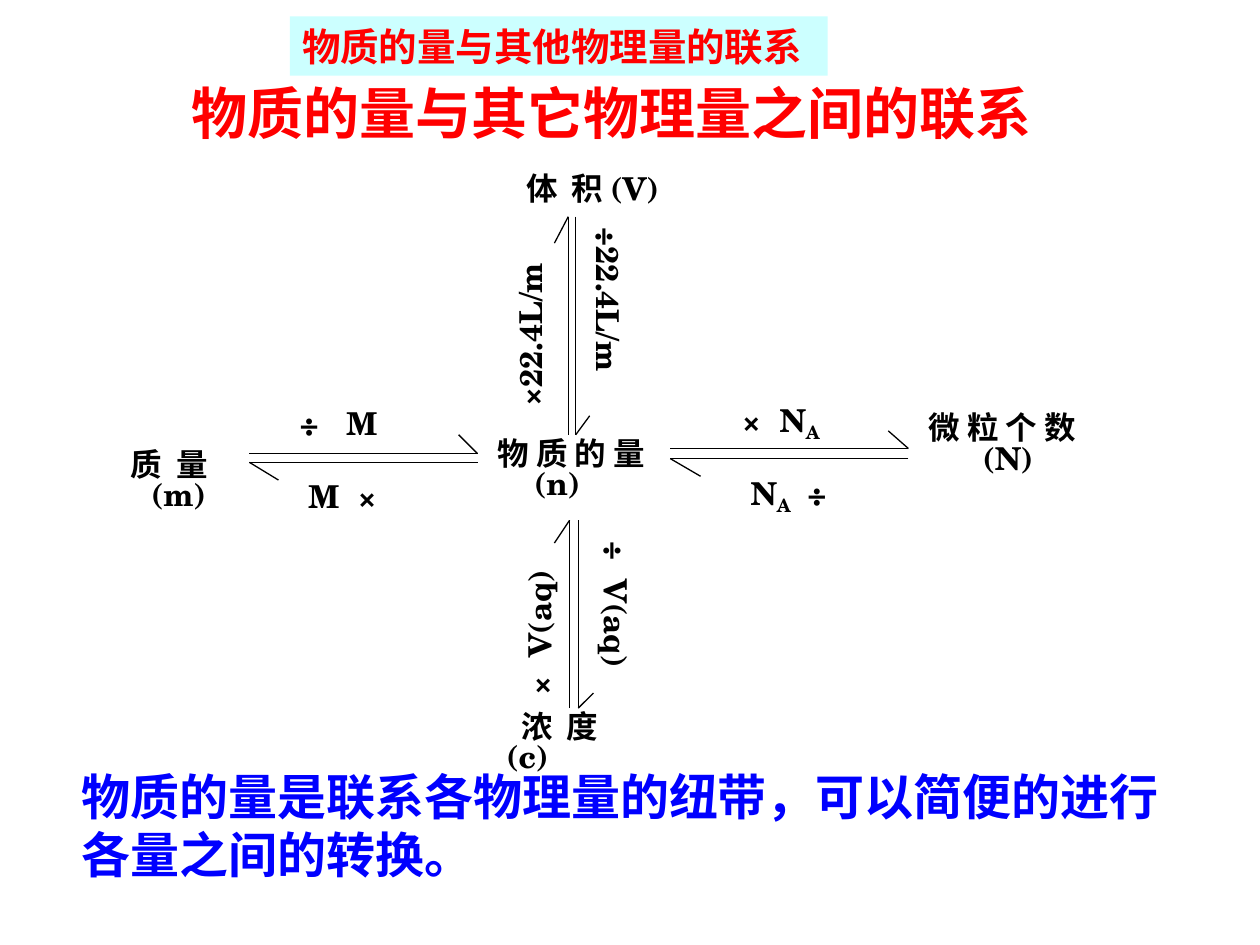
from lxml import etree
from pptx import Presentation
from pptx.dml.color import RGBColor
from pptx.enum.shapes import MSO_CONNECTOR, MSO_SHAPE
from pptx.enum.text import MSO_ANCHOR, MSO_AUTO_SIZE, PP_ALIGN
from pptx.oxml.ns import qn
from pptx.util import Inches, Pt

RED = RGBColor(0xFF, 0x00, 0x00)
BLUE = RGBColor(0x00, 0x00, 0xFF)
BLACK = RGBColor(0x00, 0x00, 0x00)
PALE_CYAN = RGBColor(0xCC, 0xFF, 0xFF)
SCHOLA, TIMES, SANS = "TeX Gyre Schola", "Times New Roman", "Noto Sans CJK SC"
STRAIGHT = MSO_CONNECTOR.STRAIGHT
RECTANGLE = MSO_SHAPE.RECTANGLE
TOP = MSO_ANCHOR.TOP
NO_AUTOFIT = MSO_AUTO_SIZE.NONE
LEFT, CENTER = PP_ALIGN.LEFT, PP_ALIGN.CENTER

HEADER = "物质的量与其他物理量的联系"
TITLE = [("物质的量", SCHOLA), ("与其它物理量之间的联系", TIMES)]
CLOSING = ["物质的量是联系各物理量的纽带，可以简便的进行", "各量之间的转换。"]

# Quantities: place, then lines of (text, tab stops, line spacing)
QUANTITIES = [
    ((3.85, 3.45, 1.97, 0.58), [("物 质 的 量", [], 0.8), ("\t(n)", [0.29], 0.8)]),
    ((0.88, 3.48, 1.41, 0.64), [("\t质\t量", [0.06, 0.42], 1), ("\t(m)", [0.22], 0.8)]),
    ((7.27, 3.25, 1.97, 0.58), [("微 粒 个 数", [], 0.8), ("\t(N)", [0.43], 0.8)]),
    ((4.02, 1.29, 1.93, 0.4), [("\t体\t积 (V)", [0.06, 0.42], 1)]),
    ((3.92, 5.62, 1.34, 0.58), [("\t浓\t度", [0.12, 0.48], 0.8), ("(c)", [], 0.8)]),
]

# Conversions: two arrows as (tail, tip, end of half barb), and two operations
# as (place, rotation, spans, tab stops); a span starting with "_" is a subscript
CONVERSIONS = [
    ([((1.98, 3.6), (3.79, 3.6), (3.64, 3.45)),
      ((3.79, 3.67), (1.98, 3.67), (2.21, 3.81))],
     [((2.21, 3.74, 1.36, 0.4), 0, ["\tM\t×"], [0.14, 0.53]),
      ((2.28, 3.16, 1.36, 0.4), 0, ["÷\tM"], [0.37])]),
    ([((5.32, 3.56), (7.21, 3.56), (7.05, 3.42)),
      ((7.21, 3.64), (5.32, 3.64), (5.56, 3.78))],
     [((5.79, 3.13, 1.1, 0.44), 0, ["×\tN", "_A"], [0.3]),
      ((5.79, 3.71, 1.1, 0.44), 0, ["\tN", "_A", "\t÷"], [0.07, 0.52])]),
    ([((4.57, 1.72), (4.57, 3.45), (4.68, 3.3)),
      ((4.51, 3.45), (4.51, 1.72), (4.4, 1.93))],
     [((4.06, 2.28, 1.54, 0.4), 90, ["÷22.4L/m"], []),
      ((3.44, 2.36, 1.53, 0.4), 270, ["×22.4L/m"], [])]),
    ([((4.59, 4.13), (4.59, 5.62), (4.71, 5.5)),
      ((4.52, 5.62), (4.52, 4.13), (4.4, 4.31))],
     [((4.23, 4.67, 1.34, 0.4), 90, ["÷\tV(aq)"], [0.3]),
      ((3.65, 4.79, 1.26, 0.4), 270, ["×\tV(aq)"], [0.3])]),
]


def inches(values):
    return [Inches(value) for value in values]


def place(box, area):
    box.left, box.top, box.width, box.height = inches(area)


def prepare_frame(box):
    frame = box.text_frame
    frame.word_wrap = True
    frame.auto_size = NO_AUTOFIT
    frame.vertical_anchor = TOP
    return frame


def add_paragraph(frame, index, spacing=1, align=LEFT):
    para = frame.paragraphs[0] if index == 0 else frame.add_paragraph()
    para.alignment = align
    para.line_spacing = spacing
    para.space_before = Pt(0)
    return para


def add_span(para, text, size=18, font=SCHOLA, color=BLACK):
    span = para.add_run()
    span.text = text
    span.font.size = Pt(size)
    span.font.name = font
    span.font.bold = True
    span.font.color.rgb = color
    return span


def add_tab_stops(para, stops):
    if stops:
        tabs = etree.SubElement(para._p.get_or_add_pPr(), qn("a:tabLst"))
        for stop in stops:
            etree.SubElement(tabs, qn("a:tab"), pos=str(Inches(stop)), algn="l")


def add_line(shapes, start, end):
    line = shapes.add_connector(STRAIGHT, *inches(start + end))
    line.line.color.rgb = BLACK
    line.line.width = Pt(0.75)
    etree.SubElement(line._element.spPr, qn("a:effectLst"))


def add_operation(shapes, area, rotation, spans, stops):
    box = shapes.add_textbox(*inches(area))
    box.rotation = rotation
    para = add_paragraph(prepare_frame(box), 0)
    add_tab_stops(para, stops)
    for text in spans:
        span = add_span(para, text.lstrip("_"))
        if text.startswith("_"):
            span.font._element.set("baseline", "-25000")


deck = Presentation()
deck.slide_width, deck.slide_height = inches((10, 7.5))
page = deck.slides.add_slide(deck.slide_layouts[1])

title, closing = page.placeholders
place(title, (1.3, 0.57, 7.11, 0.64))
para = add_paragraph(prepare_frame(title), 0, align=CENTER)
for text, font in TITLE:
    add_span(para, text, 32, font, RED)

place(closing, (0.55, 6.03, 9.3, 1.04))
frame = prepare_frame(closing)
for index, text in enumerate(CLOSING):
    para = add_paragraph(frame, index)
    properties = para._p.get_or_add_pPr()
    properties.set("marL", "0")
    properties.set("indent", "0")
    etree.SubElement(properties, qn("a:buNone"))
    add_span(para, text, 28, TIMES, BLUE)

for area, lines in QUANTITIES:
    frame = prepare_frame(page.shapes.add_textbox(*inches(area)))
    for index, (text, stops, spacing) in enumerate(lines):
        para = add_paragraph(frame, index, spacing)
        add_tab_stops(para, stops)
        add_span(para, text)

for arrows, operations in CONVERSIONS:
    group = page.shapes.add_group_shape()
    for tail, tip, barb in arrows:
        add_line(group.shapes, tail, tip)
        add_line(group.shapes, tip, barb)
    for operation in operations:
        add_operation(group.shapes, *operation)

header = page.shapes.add_shape(RECTANGLE, *inches((2.3, 0.13, 4.27, 0.47)))
header.shadow.inherit = False
header.fill.solid()
header.fill.fore_color.rgb = PALE_CYAN
header.line.fill.background()
add_span(add_paragraph(prepare_frame(header), 0), HEADER, 22, SANS, RED)

deck.save("out.pptx")
